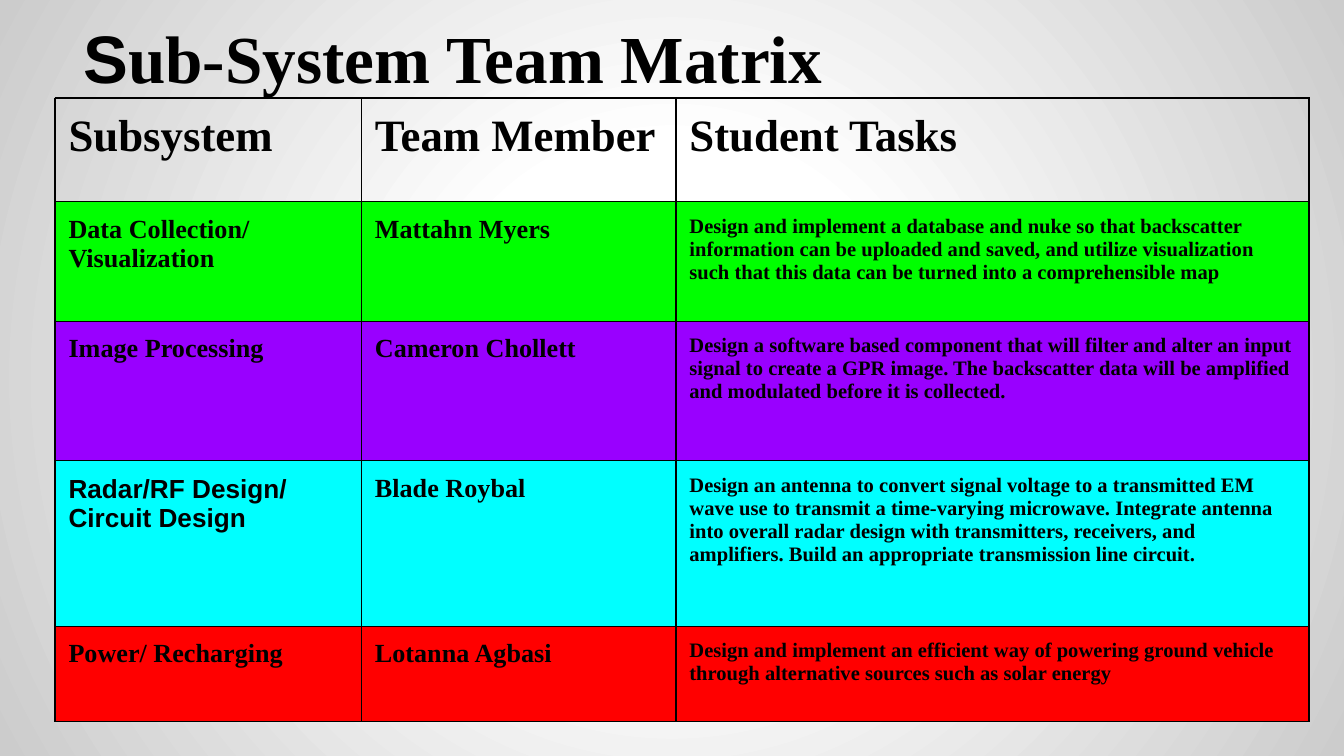
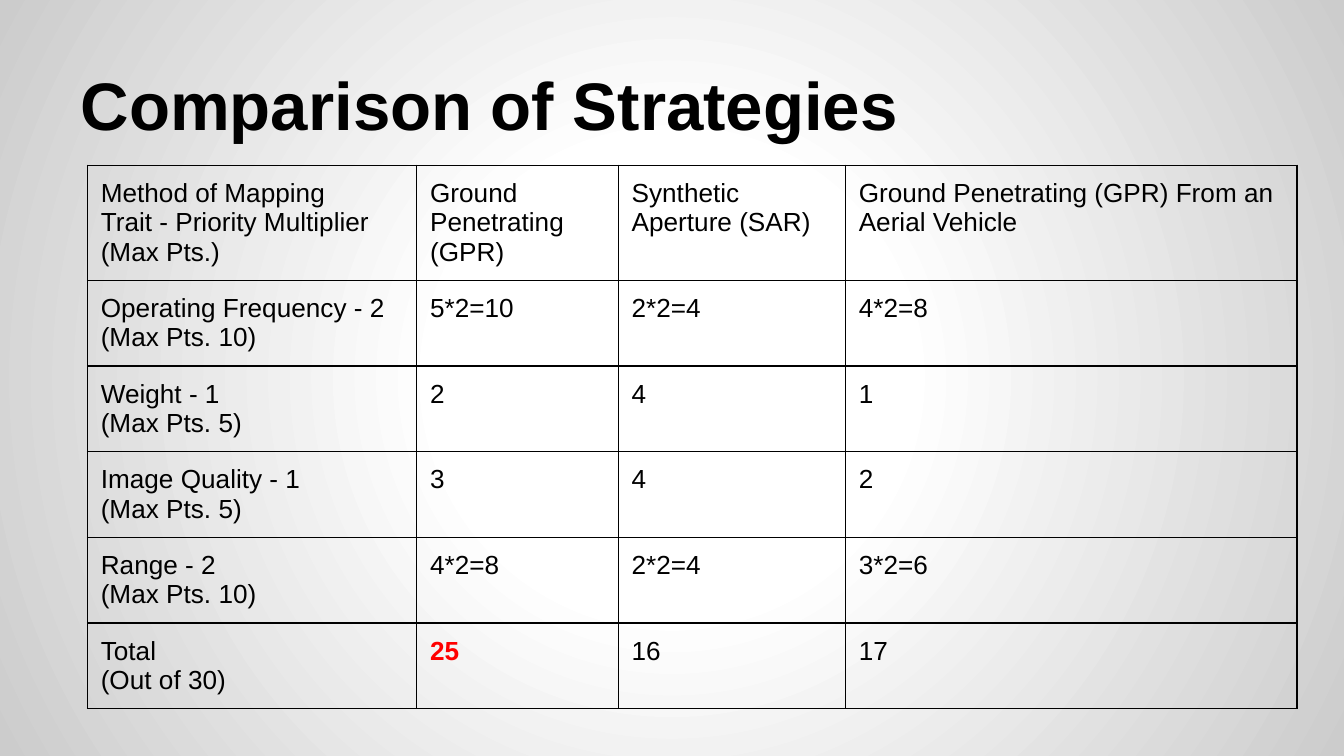
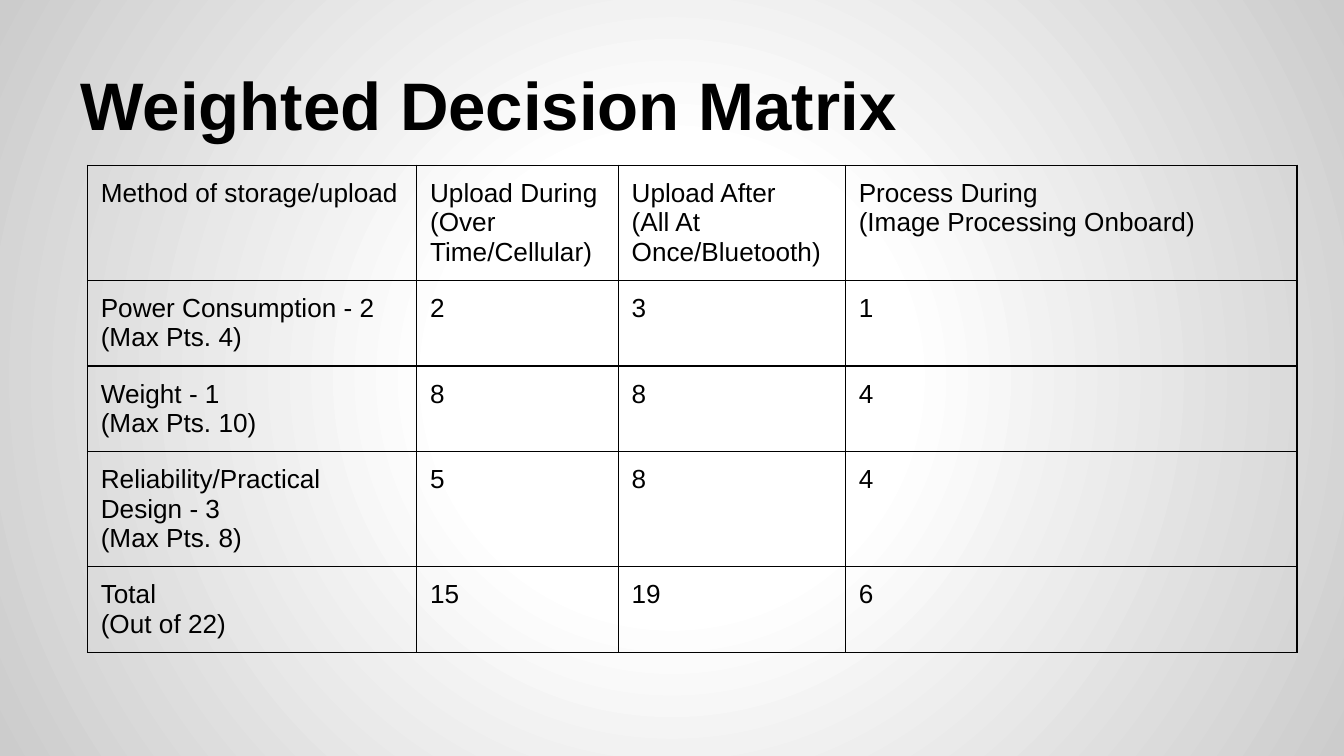
"""Build three matrix slides on a shared radial background."""

from dataclasses import dataclass

from pptx import Presentation
from pptx.dml.color import RGBColor
from pptx.enum.text import MSO_ANCHOR, MSO_AUTO_SIZE, PP_ALIGN
from pptx.oxml import parse_xml
from pptx.oxml.ns import nsdecls
from pptx.util import Inches, Pt

LEFT = PP_ALIGN.LEFT
BOTTOM = MSO_ANCHOR.BOTTOM
TOP = MSO_ANCHOR.TOP
NO_AUTOFIT = MSO_AUTO_SIZE.NONE

COLORS = {
    "text": "000000",
    "border": "000000",
    "winner": "FF0000",
    "center": "FFFFFF",
    "edge": "CCCCCC",
    "data": "00FF00",
    "image": "9900FF",
    "radar": "00FFFF",
    "power": "FF0000",
}
SANS = "Arial"
SERIF = "Times New Roman"
SLIDE_WIDTH = Inches(10)
SLIDE_HEIGHT = SLIDE_WIDTH * 9 // 16
INSET = Inches(0.1)
BORDER_WIDTH = Pt(0.75)
TITLE_ONLY = 5


@dataclass(frozen=True)
class TextStyle:
    font: str
    size: int
    bold: bool = False
    color: str = "text"


@dataclass(frozen=True)
class Row:
    height: float
    cells: tuple[str, ...]
    styles: tuple[TextStyle, ...]
    fill: str | None = None


@dataclass(frozen=True)
class Box:
    left: float
    top: float
    width: float
    height: float


@dataclass(frozen=True)
class MatrixSlide:
    title_runs: tuple[tuple[str, str], ...]
    title_box: Box
    table_left: float
    table_top: float
    columns: tuple[float, ...]
    rows: tuple[Row, ...]


HEADING = TextStyle(SERIF, 24, bold=True)
NAME = TextStyle(SERIF, 14, bold=True)
SANS_NAME = TextStyle(SANS, 14, bold=True)
TASK = TextStyle(SERIF, 11, bold=True)
SCORE = TextStyle(SANS, 14)
WINNING_SCORE = TextStyle(SANS, 14, bold=True, color="winner")

TEAM_STYLES = (NAME, NAME, TASK)
SCORE_STYLES = (SCORE,) * 4
SCORE_TITLE_BOX = Box(0.5, 0.23, 9, 0.94)
SCORE_COLUMNS = (2.45, 1.5, 1.69, 3.36)


def score_row(*cells: str, styles: tuple[TextStyle, ...] = SCORE_STYLES) -> Row:
    """Return an unfilled score row that grows to fit its text."""
    return Row(0.42, cells, styles)


def score_slide(title: str, *rows: Row) -> MatrixSlide:
    """Return a slide with the shared score table layout."""
    return MatrixSlide(((title, SANS),), SCORE_TITLE_BOX, 0.65, 1.23, SCORE_COLUMNS, rows)


SLIDES = (
    MatrixSlide(
        (("S", SANS), ("ub-System Team Matrix", SERIF)),
        Box(0.52, 0.17, 8.97, 0.65),
        0.41,
        0.73,
        (2.28, 2.34, 4.71),
        (
            Row(0.77, ("Subsystem", "Team Member", "Student Tasks"), (HEADING,) * 3),
            Row(
                0.89,
                (
                    "Data Collection/ Visualization",
                    "Mattahn Myers",
                    "Design and implement a database and nuke so that backscatter "
                    "information can be uploaded and saved, and utilize visualization "
                    "such that this data can be turned into a comprehensible map",
                ),
                TEAM_STYLES,
                "data",
            ),
            Row(
                1.04,
                (
                    "Image Processing",
                    "Cameron Chollett",
                    "Design a software based component that will filter and alter an "
                    "input signal to create a GPR image. The backscatter data will be "
                    "amplified and modulated before it is collected.",
                ),
                TEAM_STYLES,
                "image",
            ),
            Row(
                1.23,
                (
                    "Radar/RF Design/ Circuit Design",
                    "Blade Roybal",
                    "Design an antenna to convert signal voltage to a transmitted EM "
                    "wave use to transmit a time-varying microwave. Integrate antenna "
                    "into overall radar design with transmitters, receivers, and "
                    "amplifiers. Build an appropriate transmission line circuit.",
                ),
                (SANS_NAME, NAME, TASK),
                "radar",
            ),
            Row(
                0.71,
                (
                    "Power/ Recharging",
                    "Lotanna Agbasi",
                    "Design and implement an efficient way of powering ground vehicle "
                    "through alternative sources such as solar energy",
                ),
                TEAM_STYLES,
                "power",
            ),
        ),
    ),
    score_slide(
        "Comparison of Strategies",
        score_row(
            "Method of Mapping\nTrait - Priority Multiplier\n(Max Pts.)",
            "Ground Penetrating (GPR)",
            "Synthetic Aperture (SAR)",
            "Ground Penetrating (GPR) From an Aerial Vehicle",
        ),
        score_row("Operating Frequency - 2\n(Max Pts. 10)", "5*2=10", "2*2=4", "4*2=8"),
        score_row("Weight - 1\n(Max Pts. 5)", "2", "4", "1"),
        score_row("Image Quality - 1\n(Max Pts. 5)", "3", "4", "2"),
        score_row("Range - 2\n(Max Pts. 10)", "4*2=8", "2*2=4", "3*2=6"),
        score_row(
            "Total\n(Out of 30)", "25", "16", "17",
            styles=(SCORE, WINNING_SCORE, SCORE, SCORE),
        ),
    ),
    score_slide(
        "Weighted Decision Matrix",
        score_row(
            "Method of storage/upload",
            "Upload During\n(Over Time/Cellular)",
            "Upload After\n(All At Once/Bluetooth)",
            "Process During\n(Image Processing Onboard)",
        ),
        score_row("Power Consumption - 2\n(Max Pts. 4)", "2", "3", "1"),
        score_row("Weight - 1\n(Max Pts. 10)", "8", "8", "4"),
        score_row("Reliability/Practical Design - 3\n(Max Pts. 8)", "5", "8", "4"),
        score_row("Total\n(Out of 22)", "15", "19", "6"),
    ),
)


def set_background(master) -> None:
    """Give the slide master a radial gradient."""
    master.background.fill.background()
    properties = master.element.cSld.bg.bgPr
    stops = "".join(
        f'<a:gs pos="{position * 1000}"><a:srgbClr val="{COLORS[name]}"/></a:gs>'
        for position, name in ((0, "center"), (30, "center"), (100, "edge"))
    )
    gradient = parse_xml(
        f'<a:gradFill rotWithShape="1" {nsdecls("a")}><a:gsLst>{stops}</a:gsLst>'
        '<a:path path="circle"><a:fillToRect l="50000" t="50000" r="50000" b="50000"/>'
        "</a:path></a:gradFill>"
    )
    properties.replace(properties[0], gradient)


def set_insets(target) -> None:
    """Apply the shared inset to a cell or text frame."""
    target.margin_left = target.margin_right = INSET
    target.margin_top = target.margin_bottom = INSET


def set_font(paragraph, style: TextStyle) -> None:
    """Format a paragraph with a text style."""
    paragraph.alignment = LEFT
    paragraph.font.name = style.font
    paragraph.font.size = Pt(style.size)
    paragraph.font.bold = style.bold
    paragraph.font.color.rgb = RGBColor.from_string(COLORS[style.color])


def write_title(title, content: MatrixSlide) -> None:
    """Place the title placeholder and write its runs."""
    box = content.title_box
    title.left, title.top = Inches(box.left), Inches(box.top)
    title.width, title.height = Inches(box.width), Inches(box.height)
    frame = title.text_frame
    frame.auto_size = NO_AUTOFIT
    frame.word_wrap = True
    frame.vertical_anchor = BOTTOM
    set_insets(frame)
    paragraph = frame.paragraphs[0]
    set_font(paragraph, TextStyle(SANS, 36, bold=True))
    for text, font in content.title_runs:
        run = paragraph.add_run()
        run.text = text
        run.font.name = font


def add_borders(cell) -> None:
    """Draw a thin line on each side of a cell."""
    properties = cell._tc.get_or_add_tcPr()
    for side in "LRTB":
        properties.append(
            parse_xml(
                f'<a:ln{side} w="{BORDER_WIDTH}" {nsdecls("a")}><a:solidFill>'
                f'<a:srgbClr val="{COLORS["border"]}"/></a:solidFill></a:ln{side}>'
            )
        )


def write_cell(cell, text: str, style: TextStyle, fill: str | None) -> None:
    """Write and format one table cell."""
    set_insets(cell)
    cell.vertical_anchor = TOP
    add_borders(cell)
    if fill:
        cell.fill.solid()
        cell.fill.fore_color.rgb = RGBColor.from_string(COLORS[fill])
    else:
        cell.fill.background()
    cell.text_frame.text = text
    for paragraph in cell.text_frame.paragraphs:
        set_font(paragraph, style)


def add_matrix(slide, content: MatrixSlide) -> None:
    """Add the table of a slide."""
    table = slide.shapes.add_table(
        len(content.rows),
        len(content.columns),
        Inches(content.table_left),
        Inches(content.table_top),
        Inches(sum(content.columns)),
        Inches(sum(row.height for row in content.rows)),
    ).table
    table.first_row = table.horz_banding = False
    for column, width in zip(table.columns, content.columns):
        column.width = Inches(width)
    for table_row, row in zip(table.rows, content.rows):
        table_row.height = Inches(row.height)
        for cell, text, style in zip(table_row.cells, row.cells, row.styles):
            write_cell(cell, text, style, row.fill)


def main() -> None:
    """Build and save the presentation."""
    presentation = Presentation()
    presentation.slide_width = SLIDE_WIDTH
    presentation.slide_height = SLIDE_HEIGHT
    set_background(presentation.slide_master)
    for content in SLIDES:
        slide = presentation.slides.add_slide(presentation.slide_layouts[TITLE_ONLY])
        write_title(slide.shapes.title, content)
        add_matrix(slide, content)
    presentation.save("out.pptx")


if __name__ == "__main__":
    main()
